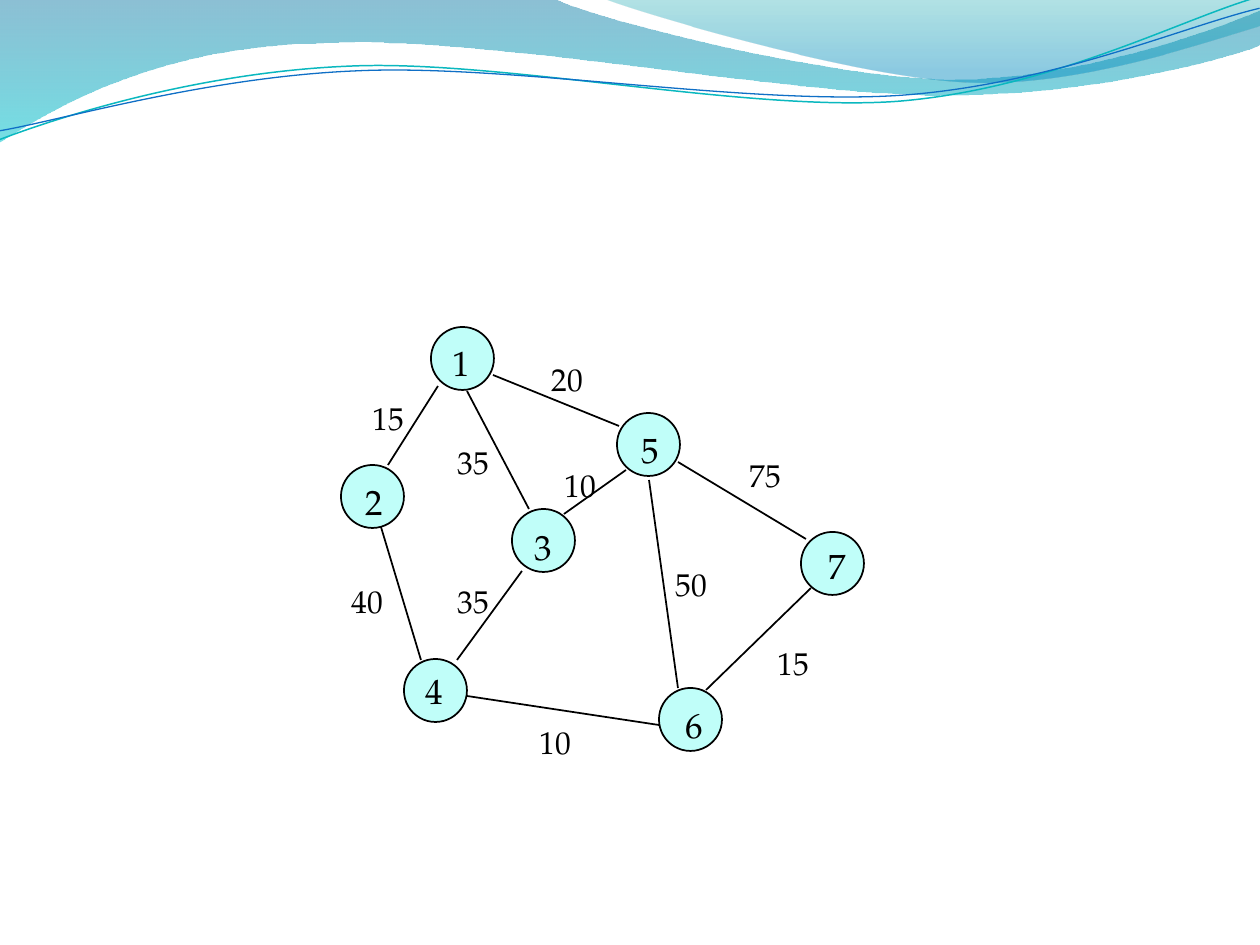
from lxml.etree import Element, SubElement
from pptx import Presentation
from pptx.dml.color import RGBColor
from pptx.enum.shapes import MSO_CONNECTOR, MSO_SHAPE
from pptx.enum.text import MSO_AUTO_SIZE
from pptx.oxml.ns import qn
from pptx.util import Pt

PX = 914400 / 126
COLORS = {
    "ink": "000000", "node": "C0FEF9",
    "deep": "0074A1", "cyan": "00C6CF", "teal": "00A1A9", "sky": "008BBF",
    "teal line": "0AB8BF", "blue line": "0F6FC6",
}
NODE_SIZE = 63


def emu(px):
    return round(px * PX)


def rgb(name):
    return RGBColor.from_string(COLORS[name])


class GraphSlide:
    font = "TeX Gyre Pagella"

    def __init__(self, slide):
        self.shapes = slide.shapes

    def outline(self, start, parts, close):
        """Outline of parts: 2 numbers are a line end, 6 a Bezier curve."""
        points = [(emu(part[i]), emu(part[i + 1]))
                  for part in parts for i in range(0, len(part), 2)]
        builder = self.shapes.build_freeform(emu(start[0]), emu(start[1]), scale=1.0)
        builder.add_line_segments(points, close=close)
        shape = builder.convert_to_shape()
        shape.shadow.inherit = False
        # Join each three segments of a curve into one Bezier segment
        segments = iter(list(shape._element.iter(qn("a:lnTo"))))
        for part in parts:
            group = [next(segments) for _ in range(len(part) // 2)]
            if len(group) == 3:
                bezier = Element(qn("a:cubicBezTo"))
                group[0].addprevious(bezier)
                for segment in group:
                    bezier.append(segment[0])
                    segment.getparent().remove(segment)
        return shape

    def wave(self, start, parts, stops):
        """Closed band with a vertical gradient of (position, colour, opacity %)."""
        band = self.outline(start, parts, True)
        band.line.fill.background()
        band.fill.gradient()
        band.fill.gradient_angle = 270
        for stop, (position, color, _) in zip(band.fill.gradient_stops, stops):
            stop.position = position
            stop.color.rgb = rgb(color)
        tints = list(band._element.spPr.iter(qn("a:srgbClr")))
        for tint, (_, _, opacity) in zip(tints, stops):
            SubElement(tint, qn("a:alpha")).set("val", str(opacity * 1000))

    def ripple(self, start, parts, color, width):
        line = self.outline(start, parts, False)
        line.rotation = 357.3
        line.fill.background()
        line.line.color.rgb = rgb(color)
        line.line.width = Pt(width)

    def node(self, left, top):
        circle = self.shapes.add_shape(
            MSO_SHAPE.OVAL, emu(left), emu(top), emu(NODE_SIZE), emu(NODE_SIZE))
        circle.shadow.inherit = False
        circle.fill.solid()
        circle.fill.fore_color.rgb = rgb("node")
        circle.line.color.rgb = rgb("ink")
        circle.line.width = Pt(1)

    def edge(self, x1, y1, x2, y2):
        line = self.shapes.add_connector(
            MSO_CONNECTOR.STRAIGHT, emu(x1), emu(y1), emu(x2), emu(y2))
        line.line.color.rgb = rgb("ink")
        line.line.width = Pt(1)
        SubElement(line._element.spPr, qn("a:effectLst"))

    def label(self, value, left, top, width, height, size):
        box = self.shapes.add_textbox(emu(left), emu(top), emu(width), emu(height))
        frame = box.text_frame
        frame.word_wrap = False
        frame.auto_size = MSO_AUTO_SIZE.SHAPE_TO_FIT_TEXT
        paragraph = frame.paragraphs[0]
        paragraph.text = str(value)
        paragraph.font.name = self.font
        paragraph.font.size = Pt(size)
        paragraph.font.color.rgb = rgb("ink")


# Node number: circle left, top; label left, top
NODES = {
    1: ((431, 327), (440, 335)),
    2: ((341, 465), (353, 474)),
    3: ((512, 509), (522, 519)),
    4: ((404, 659), (413, 663)),
    5: ((617, 413), (629, 422)),
    6: ((659, 688), (673, 697)),
    7: ((801, 532), (816, 538)),
}
# Weight, line ends, weight position
EDGES = [
    (20, (493, 375, 619, 426), (539, 354)),
    (75, (678, 462, 806, 539), (737, 450)),
    (15, (438, 386, 388, 465), (360, 393)),
    (40, (381, 527, 421, 660), (339, 576)),
    (10, (467, 696, 659, 725), (527, 717)),
    (15, (706, 690, 811, 588), (765, 638)),
    (35, (467, 391, 529, 509), (445, 437)),
    (10, (626, 470, 564, 514), (552, 460)),
    (35, (522, 571, 457, 660), (445, 576)),
    (50, (649, 480, 678, 688), (663, 559)),
]


def main():
    deck = Presentation()
    deck.slide_width, deck.slide_height = emu(1260), emu(945)
    graph = GraphSlide(deck.slides.add_slide(deck.slide_layouts[6]))

    # Waves across the top
    graph.wave(
        (0, 0),
        [(554, -1), (600, 21, 837, 79, 955, 79), (1075, 79, 1207, 33, 1260, 11),
         (1261, 45), (1239, 55, 1096, 96, 940, 95), (784, 95, 481, 35, 324, 43),
         (163, 45, 58, 105, -1, 142), (0, 0)],
        [(0, "deep", 45), (1, "cyan", 55)])
    graph.wave(
        (604, -1),
        [(641, 14, 859, 78, 969, 82), (1079, 87, 1211, 40, 1260, 26),
         (1260, 0), (604, -1)],
        [(0, "teal", 30), (0.8, "sky", 45)])
    graph.ripple(
        (-3, 110),
        [(58, 90, 199, 52, 350, 53), (499, 53, 745, 118, 896, 114),
         (1049, 109, 1184, 45, 1260, 27)],
        "teal line", 0.85)
    graph.ripple(
        (-2, 101),
        [(57, 94, 207, 57, 357, 58), (509, 58, 750, 112, 902, 108),
         (1052, 104, 1187, 52, 1262, 38)],
        "blue line", 0.75)

    # Weighted graph
    for circle, _ in NODES.values():
        graph.node(*circle)
    for _, ends, _ in EDGES:
        graph.edge(*ends)
    for number, (_, place) in NODES.items():
        graph.label(number, *place, 43, 54, 20)
    for weight, _, place in EDGES:
        graph.label(weight, *place, 57, 50, 18)

    deck.save("out.pptx")


if __name__ == "__main__":
    main()
